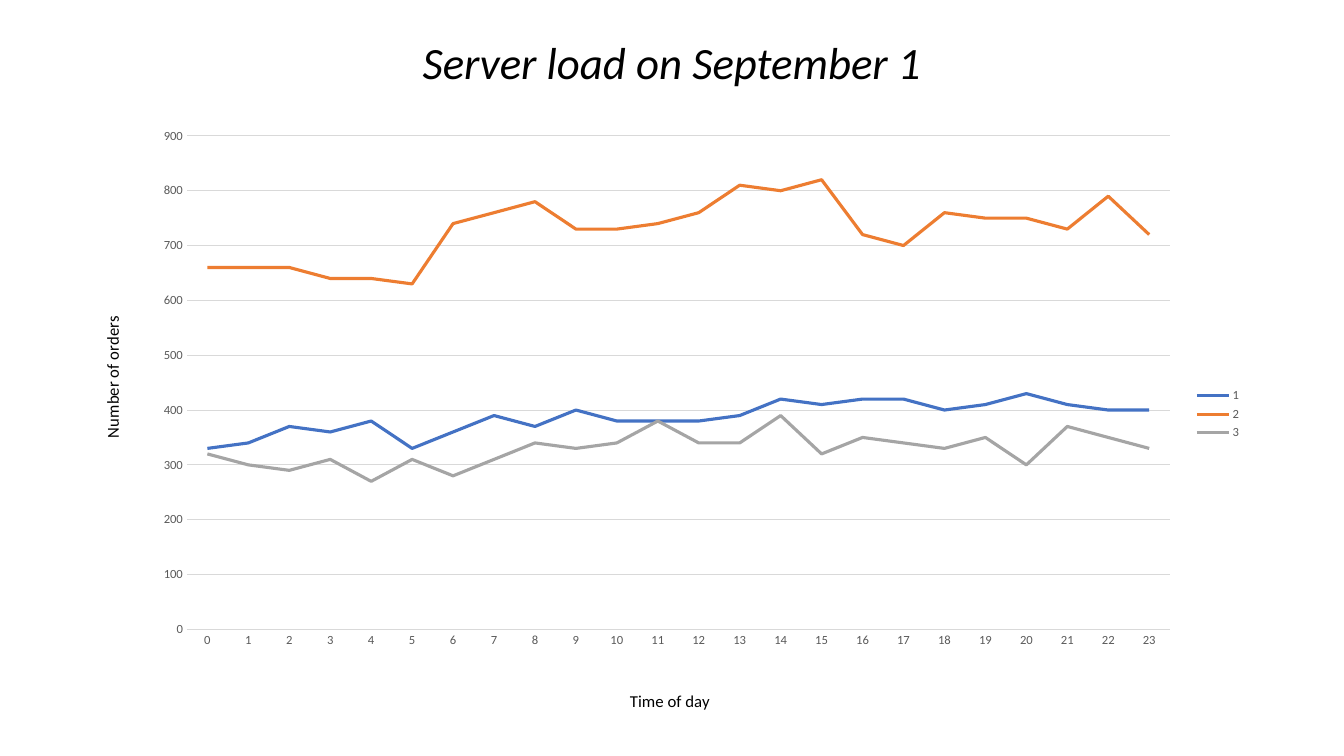
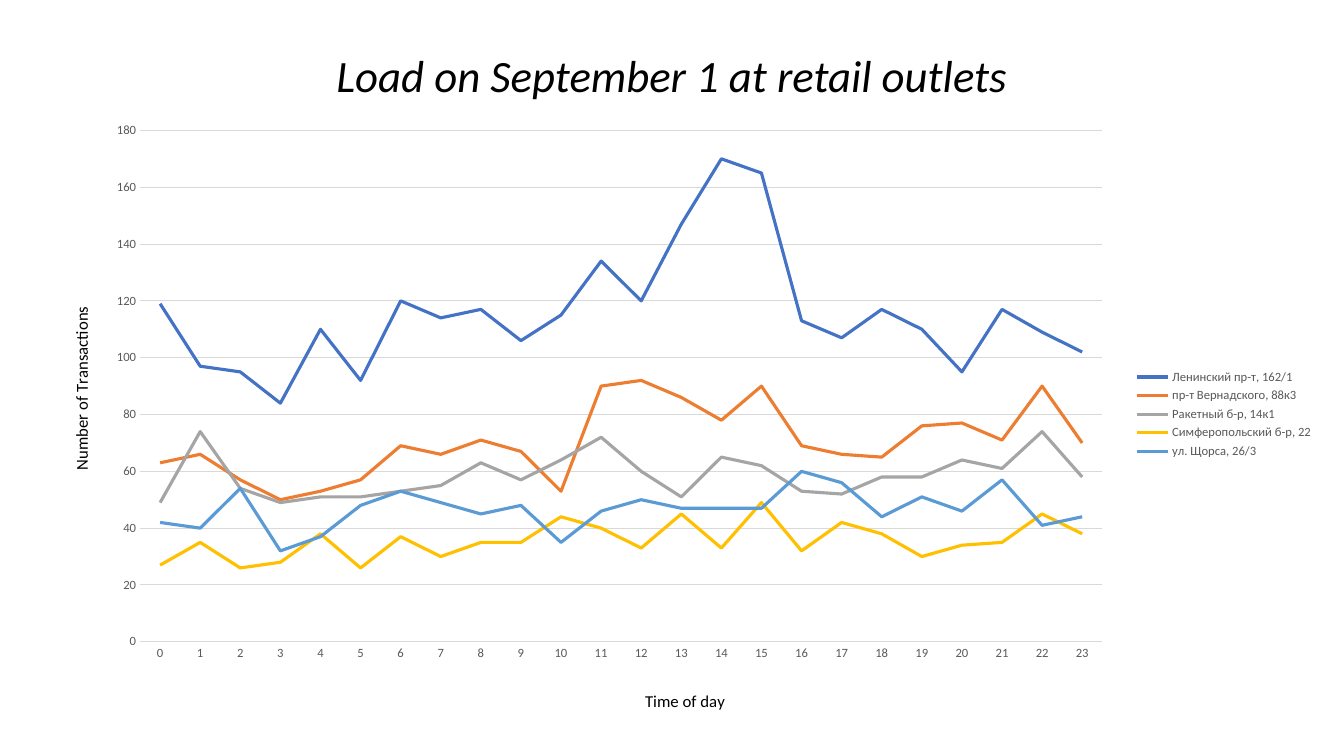
from dataclasses import dataclass

from lxml import etree
from pptx import Presentation
from pptx.chart.data import CategoryChartData
from pptx.dml.color import RGBColor
from pptx.enum.chart import XL_CHART_TYPE, XL_LEGEND_POSITION, XL_TICK_MARK
from pptx.enum.text import MSO_ANCHOR, MSO_AUTO_SIZE, PP_ALIGN
from pptx.oxml.ns import qn
from pptx.util import Cm, Pt

LINE_CHART = XL_CHART_TYPE.LINE
LEGEND_RIGHT = XL_LEGEND_POSITION.RIGHT
NO_TICK = XL_TICK_MARK.NONE
MIDDLE = MSO_ANCHOR.MIDDLE
NO_AUTOFIT = MSO_AUTO_SIZE.NONE
CENTER = PP_ALIGN.CENTER

FONT = "Calibri"
BLACK = RGBColor(0x00, 0x00, 0x00)
LABEL_GRAY = RGBColor(0x59, 0x59, 0x59)
GRID_GRAY = RGBColor(0xD9, 0xD9, 0xD9)
SERIES_COLORS = (
    RGBColor(0x44, 0x72, 0xC4),
    RGBColor(0xED, 0x7D, 0x31),
    RGBColor(0xA5, 0xA5, 0xA5),
    RGBColor(0xFF, 0xC0, 0x00),
    RGBColor(0x5B, 0x9B, 0xD5),
)
HOURS = [str(hour) for hour in range(24)]
TITLE_ONLY = 5


@dataclass(frozen=True)
class Box:
    """Place on the slide, in centimetres."""
    left: float
    top: float
    width: float = 0
    height: float = 0

    def emu(self):
        return Cm(self.left), Cm(self.top), Cm(self.width), Cm(self.height)


@dataclass(frozen=True)
class LoadSlide:
    title: str
    title_box: Box
    chart_box: Box
    plot_box: Box
    hour_title_at: Box
    load_title: str
    load_title_at: Box
    maximum: int
    step: int
    series: dict[str, list[int]]


SLIDES = (
    LoadSlide(
        title="Server load on September 1",
        title_box=Box(2.33, 0.66, 29.21, 1.96),
        chart_box=Box(2.33, 2.95, 29.21, 15.11),
        plot_box=Box(4.71, 3.43, 24.77, 12.55),
        hour_title_at=Box(15.8, 17.44),
        load_title="Number of orders",
        load_title_at=Box(2.47, 7.96),
        maximum=900,
        step=100,
        series={
            "1": [330, 340, 370, 360, 380, 330, 360, 390, 370, 400, 380, 380,
                  380, 390, 420, 410, 420, 420, 400, 410, 430, 410, 400, 400],
            "2": [660, 660, 660, 640, 640, 630, 740, 760, 780, 730, 730, 740,
                  760, 810, 800, 820, 720, 700, 760, 750, 750, 730, 790, 720],
            "3": [320, 300, 290, 310, 270, 310, 280, 310, 340, 330, 340, 380,
                  340, 340, 390, 320, 350, 340, 330, 350, 300, 370, 350, 330],
        },
    ),
    LoadSlide(
        title="Load on September 1 at retail outlets",
        title_box=Box(2.33, 1.02, 29.21, 1.9),
        chart_box=Box(1.52, 2.92, 31.83, 15.14),
        plot_box=Box(3.53, 3.29, 24.25, 12.98),
        hour_title_at=Box(16.18, 17.41),
        load_title="Number of Transactions",
        load_title_at=Box(1.69, 7.71),
        maximum=180,
        step=20,
        series={
            "Ленинский пр-т, 162/1": [
                119, 97, 95, 84, 110, 92, 120, 114, 117, 106, 115, 134,
                120, 147, 170, 165, 113, 107, 117, 110, 95, 117, 109, 102],
            "пр-т Вернадского, 88к3": [
                63, 66, 57, 50, 53, 57, 69, 66, 71, 67, 53, 90,
                92, 86, 78, 90, 69, 66, 65, 76, 77, 71, 90, 70],
            "Ракетный б-р, 14к1": [
                49, 74, 54, 49, 51, 51, 53, 55, 63, 57, 64, 72,
                60, 51, 65, 62, 53, 52, 58, 58, 64, 61, 74, 58],
            "Симферопольский б-р, 22": [
                27, 35, 26, 28, 38, 26, 37, 30, 35, 35, 44, 40,
                33, 45, 33, 49, 32, 42, 38, 30, 34, 35, 45, 38],
            "ул. Щорса, 26/3": [
                42, 40, 54, 32, 37, 48, 53, 49, 45, 48, 35, 46,
                50, 47, 47, 47, 60, 56, 44, 51, 46, 57, 41, 44],
        },
    ),
)


def format_font(font, size: float, color: RGBColor, italic: bool = False) -> None:
    font.name = FONT
    font.size = Pt(size)
    font.bold = False
    font.italic = italic
    font.color.rgb = color


def write(frame, text: str, *, size: float, color: RGBColor = BLACK,
          italic: bool = False, spacing: float = 1.0) -> None:
    paragraph = frame.paragraphs[0]
    paragraph.alignment = CENTER
    paragraph.line_spacing = spacing
    run = paragraph.add_run()
    run.text = text
    format_font(run.font, size, color, italic)


def format_line(line, color: RGBColor, width: float) -> None:
    line.color.rgb = color
    line.width = Pt(width)


def place(part, index: int, box: Box, chart_box: Box) -> None:
    """Fix a chart part at a slide position, as fractions of the chart."""
    for automatic in part.findall(qn("c:layout")):
        part.remove(automatic)
    layout = etree.Element(qn("c:layout"))
    manual = etree.SubElement(layout, qn("c:manualLayout"))
    settings = {
        "xMode": "edge",
        "yMode": "edge",
        "x": (box.left - chart_box.left) / chart_box.width,
        "y": (box.top - chart_box.top) / chart_box.height,
    }
    if box.width:
        settings = {"layoutTarget": "inner", **settings,
                    "w": box.width / chart_box.width,
                    "h": box.height / chart_box.height}
    for tag, value in settings.items():
        etree.SubElement(manual, qn(f"c:{tag}")).set("val", str(value))
    part.insert(index, layout)


def format_axis(axis, title: str, title_at: Box, chart_box: Box,
                rotation: int = 0) -> None:
    axis.major_tick_mark = axis.minor_tick_mark = NO_TICK
    format_font(axis.tick_labels.font, 9, LABEL_GRAY)
    write(axis.axis_title.text_frame, title, size=12)
    title_xml = axis.axis_title._element
    body = title_xml.find(".//" + qn("a:bodyPr"))
    body.set("rot", str(rotation * 60000))
    body.set("vert", "horz")
    place(title_xml, 1, title_at, chart_box)


def add_load_chart(slide, content: LoadSlide) -> None:
    data = CategoryChartData(number_format="0")
    data.categories = HOURS
    for name, values in content.series.items():
        data.add_series(name, values)
    box = content.chart_box
    chart = slide.shapes.add_chart(LINE_CHART, *box.emu(), data).chart
    chart.has_title = False
    format_font(chart.font, 10, BLACK)

    # Axes and gridlines
    hours, load = chart.category_axis, chart.value_axis
    format_axis(hours, "Time of day", content.hour_title_at, box)
    format_axis(load, content.load_title, content.load_title_at, box, -90)
    format_line(hours.format.line, GRID_GRAY, 0.75)
    load.format.line.fill.background()
    load.has_major_gridlines = True
    format_line(load.major_gridlines.format.line, GRID_GRAY, 0.75)
    load.minimum_scale = 0
    load.maximum_scale = content.maximum
    load.major_unit = content.step
    load.tick_labels.number_format = "0"
    load.tick_labels.number_format_is_linked = False

    # Legend
    chart.has_legend = True
    chart.legend.position = LEGEND_RIGHT
    chart.legend.include_in_layout = False
    format_font(chart.legend.font, 9, LABEL_GRAY)

    # Load lines
    plot = chart.plots[0]
    plot.vary_by_categories = False
    for series, color in zip(plot.series, SERIES_COLORS):
        series.smooth = False
        format_line(series.format.line, color, 2.25)
    plot_area = chart._chartSpace.find(".//" + qn("c:plotArea"))
    place(plot_area, 0, content.plot_box, box)


def add_title(slide, content: LoadSlide) -> None:
    title = slide.shapes.title
    title.left, title.top, title.width, title.height = content.title_box.emu()
    frame = title.text_frame
    frame.auto_size = NO_AUTOFIT
    frame.word_wrap = True
    frame.vertical_anchor = MIDDLE
    write(frame, content.title, size=32, italic=True, spacing=0.9)


def main() -> None:
    deck = Presentation()
    deck.slide_width, deck.slide_height = Cm(33.87), Cm(19.05)
    for content in SLIDES:
        slide = deck.slides.add_slide(deck.slide_layouts[TITLE_ONLY])
        add_title(slide, content)
        add_load_chart(slide, content)
    deck.save("out.pptx")


if __name__ == "__main__":
    main()
